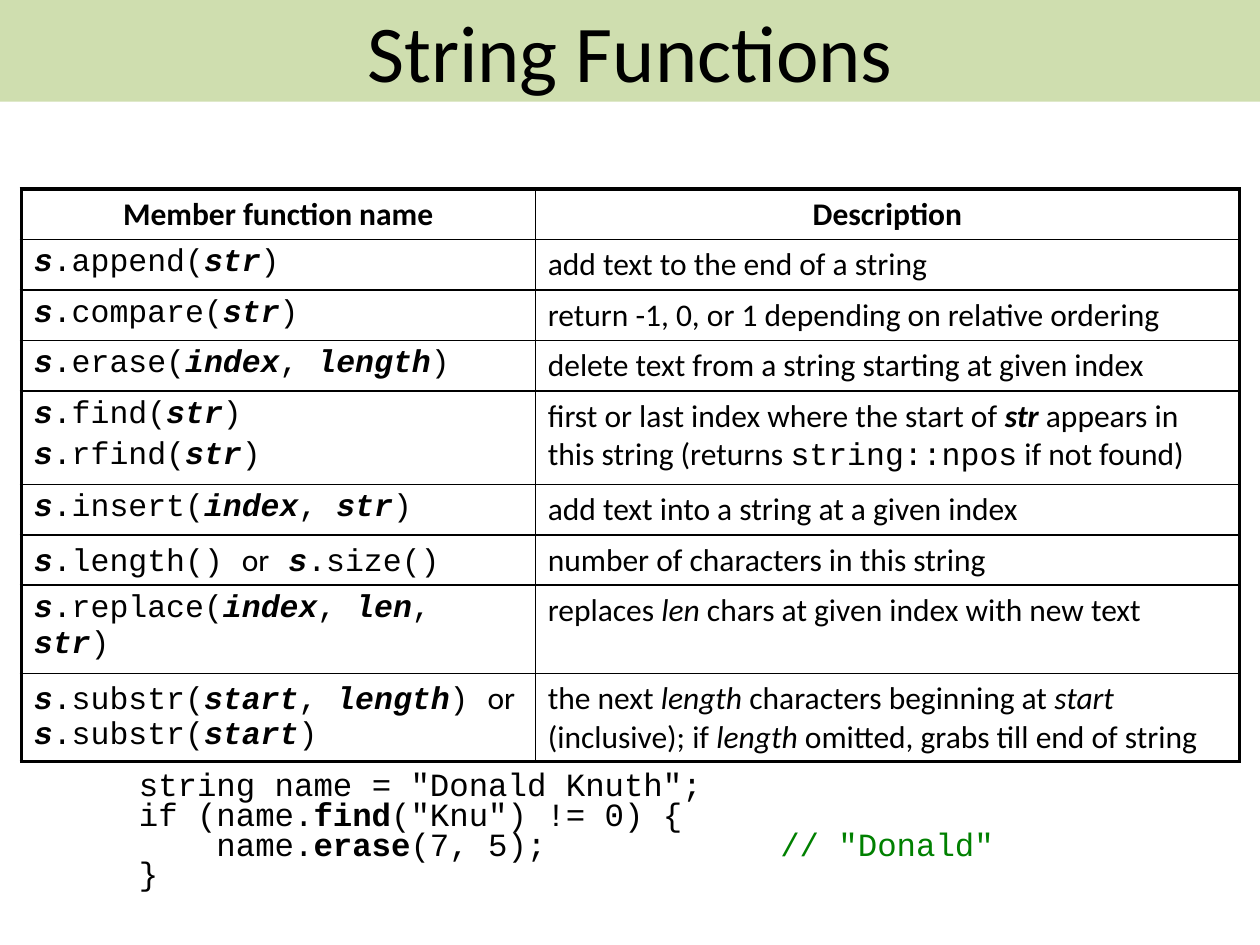
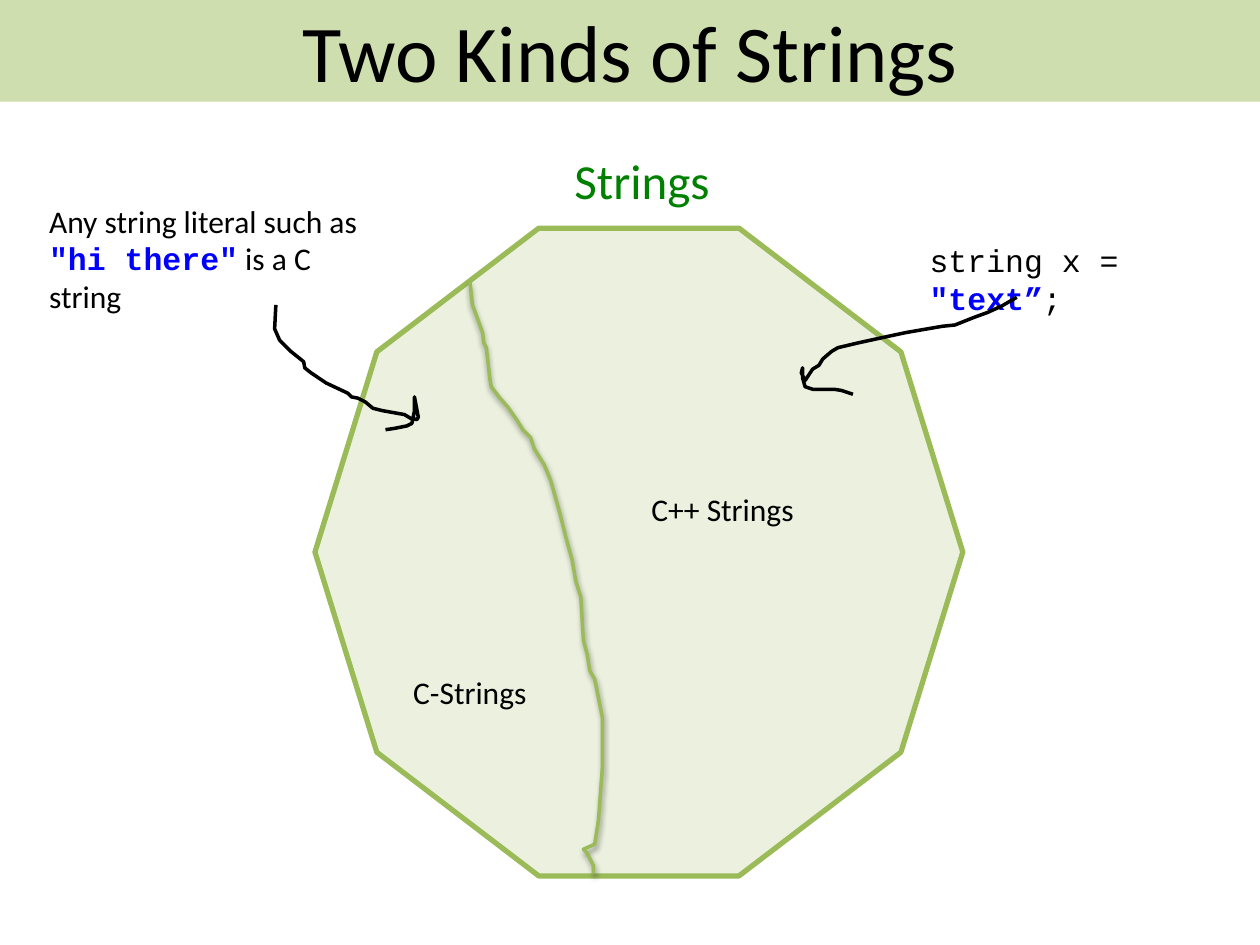
from dataclasses import dataclass

import pptx
import pptx.dml.color
import pptx.enum.shapes
import pptx.enum.text
import pptx.oxml
import pptx.oxml.ns
import pptx.util
from lxml import etree

Cm = pptx.util.Cm
Pt = pptx.util.Pt
qn = pptx.oxml.ns.qn
SHAPE = pptx.enum.shapes.MSO_SHAPE
ALIGN = pptx.enum.text.PP_ALIGN
ANCHOR = pptx.enum.text.MSO_ANCHOR

# Shared look
COLORS = {
    "ink": "000000",
    "band": "C3D69B",
    "outline": "9BBB59",
    "pale": "EBF1DE",
    "green": "008000",
    "blue": "0000FF",
}
SANS, MONO = "Calibri", "Courier New"
WIDTH, HEIGHT = Cm(25.4), Cm(19.05)
BODY_SIZE = 18
STROKE_UNIT = Cm(0.0254)  # grid step for the hand-drawn strokes


@dataclass(frozen=True)
class Run:
    text: str
    font: str = SANS
    bold: bool = False
    italic: bool = False
    color: str = "ink"


@dataclass(frozen=True)
class Label:
    left: float
    top: float
    width: float
    height: float
    runs: list[Run]
    size: float = BODY_SIZE
    wrap: bool = False


@dataclass(frozen=True)
class Stroke:
    points: list[tuple[int, int]]
    color: str = "ink"
    shadow: bool = False


@dataclass(frozen=True)
class FunctionRow:
    signature: list[list[Run]]
    description: list[Run]
    height: float = 0.92  # least height; the row grows with its text


def rgb(name: str) -> pptx.dml.color.RGBColor:
    return pptx.dml.color.RGBColor.from_string(COLORS[name])


def code(text: str, **style) -> Run:
    return Run(text, MONO, **style)


def var(text: str) -> Run:
    return code(text, bold=True, italic=True)


def em(text: str) -> Run:
    return Run(text, italic=True)


def call(name: str, *args: str) -> list[Run]:
    """Runs for s.name(arg, arg) with the variables emphasised."""
    runs = [var("s"), code(f".{name}(")]
    for i, arg in enumerate(args):
        if i:
            runs.append(code(", "))
        runs.append(var(arg))
    return runs + [code(")")]


def add_runs(p, runs: list[Run], size: float = BODY_SIZE) -> None:
    for run in runs:
        r = p.add_run()
        r.text = run.text
        r.font.name = run.font
        r.font.size = Pt(size)
        r.font.bold = run.bold
        r.font.italic = run.italic
        r.font.color.rgb = rgb(run.color)


def add_title(slide, text: str) -> None:
    sp = slide.shapes.add_shape(SHAPE.RECTANGLE, 0, 0, WIDTH, Cm(2.05))
    sp.shadow.inherit = False
    sp.line.fill.background()
    sp.fill.solid()
    sp.fill.fore_color.rgb = rgb("band")
    color = sp._element.spPr.find(qn("a:solidFill"))[0]
    etree.SubElement(color, qn("a:alpha"), val="80000")
    tf = sp.text_frame
    tf.vertical_anchor = ANCHOR.MIDDLE
    p = tf.paragraphs[0]
    p.alignment = ALIGN.CENTER
    add_runs(p, [Run(text)], 46)


def add_label(slide, label: Label) -> None:
    sp = slide.shapes.add_textbox(Cm(label.left), Cm(label.top), Cm(label.width), Cm(label.height))
    tf = sp.text_frame
    tf.word_wrap = label.wrap
    add_runs(tf.paragraphs[0], label.runs, label.size)


def add_stroke(slide, stroke: Stroke) -> None:
    start, *rest = stroke.points
    builder = slide.shapes.build_freeform(*start, scale=STROKE_UNIT)
    builder.add_line_segments(rest, close=False)
    sp = builder.convert_to_shape()
    sp.fill.background()
    sp.line.color.rgb = rgb(stroke.color)
    sp.line.width = Pt(2)
    sp.shadow.inherit = False
    if stroke.shadow:
        effects = sp._element.spPr.find(qn("a:effectLst"))
        shadow = etree.SubElement(effects, qn("a:outerShdw"), blurRad=str(Pt(3.1)),
                                  dist=str(Pt(1.6)), dir="5400000", rotWithShape="0")
        color = etree.SubElement(shadow, qn("a:srgbClr"), val=COLORS["ink"])
        etree.SubElement(color, qn("a:alpha"), val="38000")


def set_borders(cell, outer: dict[str, bool]) -> None:
    """Thick line on the outer sides, thin line on the inner ones."""
    tc_pr = cell._tc.get_or_add_tcPr()
    for side, is_outer in outer.items():
        ln = etree.SubElement(tc_pr, qn(f"a:ln{side}"), w=str(Pt(2.25 if is_outer else 1)))
        fill = etree.SubElement(ln, qn("a:solidFill"))
        etree.SubElement(fill, qn("a:srgbClr"), val=COLORS["ink"])


def add_function_table(slide, header: list[str], rows: list[FunctionRow]) -> None:
    header_height = 0.72
    col_widths = [10.36, 14.2]
    heights = [header_height] + [row.height for row in rows]
    frame = slide.shapes.add_table(len(heights), len(col_widths), Cm(0.43), Cm(3.81),
                                   Cm(sum(col_widths)), Cm(sum(heights)))
    table = frame.table
    table.first_row = table.horz_banding = False
    for column, width in zip(table.columns, col_widths):
        column.width = Cm(width)
    for row, height in zip(table.rows, heights):
        row.height = Cm(height)

    grid = [[[[Run(text, bold=True)]] for text in header]]
    grid += [[row.signature, [row.description]] for row in rows]
    for i, cells in enumerate(grid):
        for j, lines in enumerate(cells):
            cell = table.cell(i, j)
            set_borders(cell, {"L": j == 0, "R": j == len(cells) - 1,
                               "T": i == 0, "B": i == len(grid) - 1})
            cell.fill.background()
            tf = cell.text_frame
            for k, runs in enumerate(lines):
                p = tf.add_paragraph() if k else tf.paragraphs[0]
                if k:
                    p.space_before = Pt(3)
                if k and i == len(grid) - 1:
                    p.line_spacing = 0.7
                if i == 0:
                    p.alignment = ALIGN.CENTER
                add_runs(p, runs)


def add_code(slide, lines: list[list[Run]]) -> None:
    sp = slide.shapes.add_textbox(Cm(2.8), Cm(15.58), Cm(20), Cm(2.5))
    tf = sp.text_frame
    tf.word_wrap = True
    tf.margin_left = tf.margin_right = tf.margin_top = tf.margin_bottom = 0
    for i, runs in enumerate(lines):
        p = tf.add_paragraph() if i else tf.paragraphs[0]
        p.line_spacing = Pt(17.1)
        # Tab stop for the trailing comment
        tabs = etree.SubElement(p._p.get_or_add_pPr(), qn("a:tabLst"))
        etree.SubElement(tabs, qn("a:tab"), pos=str(Cm(12.93)), algn="l")
        add_runs(p, runs, 18.5)


# Content of the function table
FUNCTIONS = [
    FunctionRow([call("append", "str")], [Run("add text to the end of a string")]),
    FunctionRow([call("compare", "str")],
                [Run("return -1, 0, or 1 depending on relative ordering")]),
    FunctionRow([call("erase", "index", "length")],
                [Run("delete text from a string starting at given index")]),
    FunctionRow([call("find", "str"), call("rfind", "str")],
                [Run("first or last index where the start of "), Run("str", bold=True, italic=True),
                 Run(" appears in this string (returns "), code("string::npos"),
                 Run(" if not found)")], height=1.02),
    FunctionRow([call("insert", "index", "str")],
                [Run("add text into a string at a given index")]),
    FunctionRow([call("length") + [code(" "), Run("or"), code(" ")] + call("size")],
                [Run("number of characters in this string")]),
    FunctionRow([call("replace", "index", "len", "str")],
                [Run("replaces "), em("len"), Run(" chars at given index with new text")]),
    FunctionRow([call("substr", "start", "length") + [code(" "), Run("or")],
                 call("substr", "start")],
                [Run("the next "), em("length"), Run(" characters beginning at "), em("start"),
                 Run(" (inclusive); if "), em("length"),
                 Run(" omitted, grabs till end of string")], height=1.55),
]
EXAMPLE = [
    [code('string name = "Donald Knuth";')],
    [code("if (name."), code("find", bold=True), code('("Knu") != 0) {')],
    [code("    name."), code("erase", bold=True), code("(7, 5);\t"),
     code('// "Donald"', color="green")],
    [code("}")],
]

# Content of the string diagram
LABELS = [
    Label(11.33, 2.9, 3.28, 1.45, [Run("Strings", color="green")], size=28),
    Label(8.08, 13.44, 2.82, 1.02, [Run("C-Strings")]),
    Label(12.88, 9.75, 3.4, 1.02, [Run("C++ Strings")]),
    Label(0.74, 3.94, 7.11, 1.8,
          [Run("Any string literal such as "), code('"hi there"', bold=True, color="blue"),
           Run(" is a C string")], wrap=True),
    Label(18.49, 4.74, 6.86, 1.02,
          [code("string x = "), code('"text”', bold=True, color="blue"), code(";")], wrap=True),
]
DIVIDER = Stroke([
    (373, 224), (375, 242), (378, 250), (383, 264), (384, 272), (386, 276), (389, 302),
    (390, 307), (396, 315), (403, 323), (410, 333), (415, 341), (421, 347), (424, 356),
    (432, 369), (437, 381), (444, 406), (449, 426), (454, 444), (457, 461), (461, 474),
    (462, 491), (463, 508), (466, 519), (468, 532), (472, 539), (474, 549), (478, 569),
    (478, 610), (475, 651), (472, 670), (463, 674), (466, 677), (471, 687), (471, 693),
], "outline", shadow=True)
LITERAL_ARROW = Stroke([
    (219, 242), (218, 261), (222, 270), (231, 279), (241, 287), (242, 292), (247, 296),
    (259, 304), (276, 312), (279, 315), (284, 316), (290, 319), (296, 324), (304, 326),
    (321, 329), (326, 332), (331, 333), (332, 331), (329, 315), (329, 326), (327, 336),
    (323, 338), (313, 340), (306, 341),
])
VARIABLE_ARROW = Stroke([
    (807, 236), (795, 243), (784, 248), (773, 252), (758, 258), (748, 259), (719, 264),
    (705, 267), (682, 272), (665, 276), (660, 279), (653, 285), (650, 290), (645, 293),
    (639, 302), (636, 296), (637, 292), (637, 300), (639, 307), (645, 309), (662, 309),
    (668, 310), (677, 313),
])


def build_functions_slide(prs) -> None:
    slide = prs.slides.add_slide(prs.slide_layouts[6])
    add_code(slide, EXAMPLE)
    add_function_table(slide, ["Member function name", "Description"], FUNCTIONS)
    add_title(slide, "String Functions")


def build_kinds_slide(prs) -> None:
    slide = prs.slides.add_slide(prs.slide_layouts[6])
    add_title(slide, "Two Kinds of Strings")
    sp = slide.shapes.add_shape(SHAPE.DECAGON, Cm(6.35), Cm(4.6), Cm(13.06), Cm(13.06))
    sp.shadow.inherit = False
    sp.fill.solid()
    sp.fill.fore_color.rgb = rgb("pale")
    sp.line.color.rgb = rgb("outline")
    sp.line.width = Pt(3)
    for label in LABELS:
        add_label(slide, label)
    for stroke in (DIVIDER, LITERAL_ARROW, VARIABLE_ARROW):
        add_stroke(slide, stroke)


def main() -> None:
    prs = pptx.Presentation()
    prs.slide_width, prs.slide_height = WIDTH, HEIGHT
    build_functions_slide(prs)
    build_kinds_slide(prs)
    prs.save("out.pptx")


if __name__ == "__main__":
    main()
